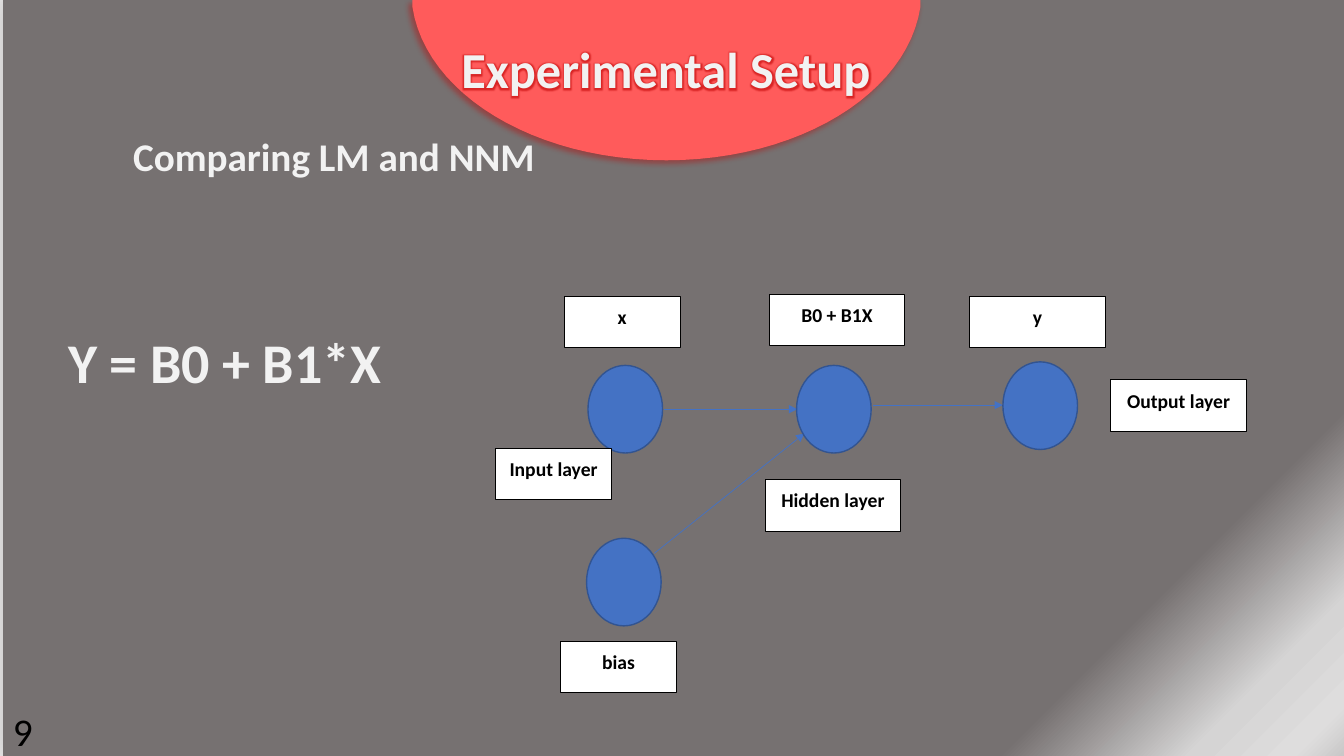
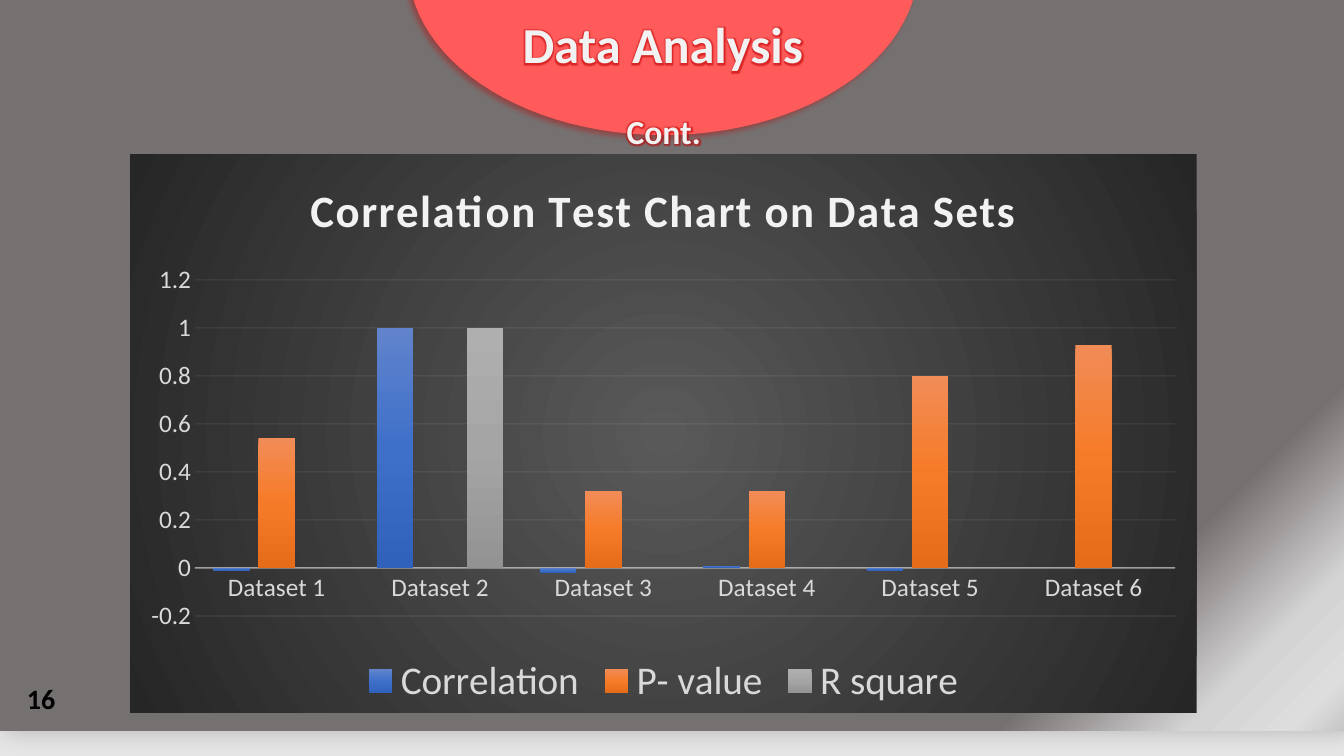
from lxml import etree
from pptx import Presentation
from pptx.chart.data import CategoryChartData
from pptx.dml.color import RGBColor
from pptx.enum.chart import XL_CHART_TYPE, XL_LEGEND_POSITION, XL_TICK_MARK
from pptx.enum.shapes import MSO_CONNECTOR, MSO_SHAPE
from pptx.enum.text import MSO_ANCHOR, PP_ALIGN
from pptx.oxml.ns import qn
from pptx.util import Pt

COLUMN_CLUSTERED = XL_CHART_TYPE.COLUMN_CLUSTERED
LEGEND_BOTTOM = XL_LEGEND_POSITION.BOTTOM
NO_TICK = XL_TICK_MARK.NONE
STRAIGHT = MSO_CONNECTOR.STRAIGHT
RECTANGLE, OVAL = MSO_SHAPE.RECTANGLE, MSO_SHAPE.OVAL
TOP, MIDDLE = MSO_ANCHOR.TOP, MSO_ANCHOR.MIDDLE
LEFT, CENTER = PP_ALIGN.LEFT, PP_ALIGN.CENTER

FONT = "Calibri"
BLACK, WHITE, OFF_WHITE, PALE = "000000", "FFFFFF", "F2F2F2", "D9D9D9"
BACKGROUND, CORAL, RED = "E7E6E6", "FF5B5B", "C00000"
BLUE, DARK_BLUE = "4472C4", "325491"
PANEL_STOPS = [(83, "767171"), (92, "D5D4D4"), (97, "DEDDDD"),
               (100, "C3C2C2"), (100, BACKGROUND)]
CHART_STOPS = [(0, "595959"), (100, "262626")]
CATEGORIES = [f"Dataset {number}" for number in range(1, 7)]
SERIES = [
    ("Correlation", (-0.01, 1, -0.02, 0.01, -0.01, 0),
     [(0, "6183CB"), (50, "3E70CA"), (100, "3062BB")]),
    ("P- value", (0.54, 0, 0.32, 0.32, 0.8, 0.93),
     [(0, "F18C57"), (50, "F67B28"), (100, "E56C19")]),
    ("R square", (0, 1, 0, 0, 0, 0),
     [(0, "AFAFAF"), (50, "A5A5A5"), (100, "939393")]),
]
NODE_SIZE = (53.3, 62.6)
NODES = [(66, 51), (215, 51), (362.4, 48.5), (65, 174.5)]
ARROWS = [(120.5, 82.3, 215.5, 82.3), (269.5, 79.4, 362.4, 79.4),
          (113.3, 185.3, 220.6, 99.6)]
NARROW, WIDE, LABEL_HEIGHT = 83, 97, 36.7
LABELS = [
    ("Hidden layer", 192.5, 132.7, WIDE), ("Output layer", 439.4, 61.4, WIDE),
    ("x", 49, 1.7, NARROW), ("B0 + B1X", 195.4, 0.2, WIDE),
    ("y", 338.6, 1.7, WIDE), ("bias", 46.3, 248, NARROW),
    ("Input layer", 0, 110.4, NARROW),
]


def rgb(value):
    """Turn a hex string into a colour."""
    return RGBColor.from_string(value)


def add_color(parent, color, opacity=100):
    """Append a colour element with its opacity in percent."""
    element = etree.SubElement(parent, qn("a:srgbClr"), val=color)
    if opacity < 100:
        etree.SubElement(element, qn("a:alpha"), val=str(opacity * 1000))


def add_gradient(properties, stops, angle=None):
    """Append a linear gradient, or a circular one when no angle is given."""
    gradient = etree.SubElement(properties, qn("a:gradFill"), rotWithShape="1")
    stop_list = etree.SubElement(gradient, qn("a:gsLst"))
    for position, color in stops:
        add_color(etree.SubElement(stop_list, qn("a:gs"), pos=str(position * 1000)), color)
    if angle is None:
        circle = etree.SubElement(gradient, qn("a:path"), {"path": "circle"})
        etree.SubElement(circle, qn("a:fillToRect"), dict.fromkeys("ltrb", "50000"))
    else:
        etree.SubElement(gradient, qn("a:lin"), ang=str(angle * 60000), scaled="0")


def add_shadow(shape, color, opacity, blur, distance, angle):
    """Give a shape a soft outer shadow."""
    shape.shadow.inherit = False
    effects = shape.element.spPr.find(qn("a:effectLst"))
    shadow = etree.SubElement(effects, qn("a:outerShdw"), blurRad=str(Pt(blur)),
                              dist=str(Pt(distance)), dir=str(angle * 60000),
                              algn="ctr", rotWithShape="0")
    add_color(shadow, color, opacity)


def add_glow(run):
    """Give a run a thin red outline and a red glow."""
    properties = run.font._element
    outline = etree.Element(qn("a:ln"), w=str(Pt(0.75)))
    add_color(etree.SubElement(outline, qn("a:solidFill")), RED)
    effects = etree.Element(qn("a:effectLst"))
    add_color(etree.SubElement(effects, qn("a:glow"), rad=str(Pt(5))), RED, 60)
    properties.find(qn("a:solidFill")).addnext(effects)
    properties.insert(0, outline)


def style_font(font, size, color, bold=False):
    """Set the shared typeface with size, colour and weight."""
    font.name, font.size, font.bold = FONT, Pt(size), bold
    font.color.rgb = rgb(color)


def write(shape, text, size, color, bold=True, align=CENTER, anchor=TOP):
    """Write one run into a shape and return its paragraph and run."""
    frame = shape.text_frame
    frame.word_wrap = True
    frame.vertical_anchor = anchor
    paragraph = frame.paragraphs[0]
    paragraph.alignment = align
    run = paragraph.add_run()
    run.text = text
    style_font(run.font, size, color, bold)
    return paragraph, run


def add_text(slide, box, *content, glow=False, **style):
    """Add a text box, with a glow if asked."""
    shape = slide.shapes.add_textbox(*map(Pt, box))
    _, run = write(shape, *content, **style)
    if glow:
        add_glow(run)


def add_box(slide, kind, box, fill, line, width):
    """Add a filled and outlined preset shape."""
    shape = slide.shapes.add_shape(kind, *map(Pt, box))
    shape.shadow.inherit = False
    shape.fill.solid()
    shape.fill.fore_color.rgb = rgb(fill)
    shape.line.color.rgb = rgb(line)
    shape.line.width = Pt(width)
    return shape


def add_panel(slide, left, top):
    """Add the gradient panel that carries the slide."""
    panel = slide.shapes.add_shape(RECTANGLE, Pt(left), Pt(top), Pt(967), Pt(540))
    add_gradient(panel.element.spPr, PANEL_STOPS, 45)
    panel.line.fill.background()
    add_shadow(panel, "595959", 35, 17, 3, 0)


def add_dome(slide, left, top):
    """Add the coral dome that hangs from the top of the panel."""
    half, steps = 181.4, 24
    controls = [(half, 5), (172, 67), (94.3, 114.5), (0, 114.5)]
    curve = []
    for step in range(steps + 1):
        t = step / steps
        weights = ((1 - t) ** 3, 3 * t * (1 - t) ** 2, 3 * t * t * (1 - t), t ** 3)
        curve.append(tuple(sum(weight * point[axis] for weight, point in zip(weights, controls))
                           for axis in (0, 1)))
    outline = [(-half, 0), (half, 0)] + curve + [(-x, y) for x, y in reversed(curve[:-1])]
    points = [(Pt(left + half + x), Pt(top + y)) for x, y in outline]
    builder = slide.shapes.build_freeform(*points[0])
    builder.add_line_segments(points[1:], close=True)
    dome = builder.convert_to_shape()
    dome.fill.solid()
    dome.fill.fore_color.rgb = rgb(CORAL)
    dome.line.fill.background()
    add_shadow(dome, RED, 40, 4, 3, 135)


def add_base(presentation, left, top, title):
    """Add a slide with background, panel, dome and title."""
    slide = presentation.slides.add_slide(presentation.slide_layouts[6])
    slide.background.fill.solid()
    slide.background.fill.fore_color.rgb = rgb(BACKGROUND)
    add_panel(slide, left, top)
    add_dome(slide, left + 292.4, top)
    add_text(slide, (left + 317.5, top + 23.8, 312, 51), title, 36, OFF_WHITE, glow=True)
    return slide


def add_number(slide, left, top, number, size, bold):
    """Add the slide number."""
    add_text(slide, (left, top, 216, 28.8), number, size, BLACK,
             bold=bold, align=LEFT, anchor=MIDDLE)


def add_arrow(slide, ends):
    """Add a thin arrow between two points."""
    arrow = slide.shapes.add_connector(STRAIGHT, *map(Pt, ends))
    arrow.line.color.rgb = rgb(BLUE)
    arrow.line.width = Pt(0.5)
    properties = arrow._element.spPr
    etree.SubElement(properties.find(qn("a:ln")), qn("a:tailEnd"), type="triangle")
    etree.SubElement(properties, qn("a:effectLst"))


def add_network(slide, left, top):
    """Draw the neural network with its arrows, nodes and labels."""
    for x1, y1, x2, y2 in ARROWS:
        add_arrow(slide, (left + x1, top + y1, left + x2, top + y2))
    for x, y in NODES:
        add_box(slide, OVAL, (left + x, top + y, *NODE_SIZE), BLUE, DARK_BLUE, 1)
    for text, x, y, width in LABELS:
        label = add_box(slide, RECTANGLE, (left + x, top + y, width, LABEL_HEIGHT),
                        WHITE, BLACK, 0.75)
        paragraph, _ = write(label, text, 14, BLACK)
        paragraph.line_spacing = 1.15
        paragraph.space_after = Pt(10)


def style_line(owner, element, width, opacity):
    """Draw a chart line in translucent off-white."""
    owner.format.line.color.rgb = rgb(OFF_WHITE)
    owner.format.line.width = Pt(width)
    color = next(element.find(qn("c:spPr")).iter(qn("a:srgbClr")))
    etree.SubElement(color, qn("a:alpha"), val=str(opacity * 1000))


def style_axes(chart):
    """Style both axes and the gridlines."""
    category_axis, value_axis = chart.category_axis, chart.value_axis
    for axis in (category_axis, value_axis):
        axis.major_tick_mark = axis.minor_tick_mark = NO_TICK
        style_font(axis.tick_labels.font, 18, PALE)
    style_line(category_axis, category_axis._element, 1, 54)
    value_axis.format.line.fill.background()
    value_axis.minimum_scale, value_axis.maximum_scale = -0.2, 1.2
    value_axis.major_unit = 0.2
    value_axis.has_major_gridlines = True
    style_line(value_axis.major_gridlines,
               value_axis._element.find(qn("c:majorGridlines")), 0.75, 10)


def add_correlation_chart(slide, box):
    """Add the clustered column chart on its dark ground."""
    data = CategoryChartData()
    data.categories = CATEGORIES
    for name, values, _ in SERIES:
        data.add_series(name, values)
    chart = slide.shapes.add_chart(COLUMN_CLUSTERED, *map(Pt, box), data).chart
    style_font(chart.font, 10, BLACK)
    ground = etree.Element(qn("c:spPr"))
    add_gradient(ground, CHART_STOPS)
    etree.SubElement(etree.SubElement(ground, qn("a:ln")), qn("a:noFill"))
    chart._chartSpace.find(qn("c:txPr")).addprevious(ground)
    chart.has_title = True
    run = chart.chart_title.text_frame.paragraphs[0].add_run()
    run.text = "Correlation Test Chart on Data Sets"
    style_font(run.font, 32, OFF_WHITE, True)
    run.font._element.set("spc", "100")
    chart.chart_title.include_in_layout = False
    chart.has_legend = True
    chart.legend.position = LEGEND_BOTTOM
    chart.legend.include_in_layout = False
    style_font(chart.legend.font, 28, PALE)
    plot = chart.plots[0]
    plot.gap_width, plot.overlap, plot.vary_by_categories = 100, -24, False
    for series, (_, _, stops) in zip(plot.series, SERIES):
        series.invert_if_negative = False
        add_gradient(series._element.get_or_add_spPr(), stops, 90)
    style_axes(chart)


def build_setup_slide(presentation):
    """Build the slide comparing the linear model with the network."""
    slide = add_base(presentation, 2.2, 0, "Experimental Setup")
    add_text(slide, (28.8, 230.4, 263.5, 55.4), "Y = B0 + B1*X", 40, OFF_WHITE)
    add_text(slide, (9.4, 90.7, 458, 41), "Comparing LM and NNM", 28, OFF_WHITE)
    add_network(slide, 354, 210)
    add_number(slide, 2.2, 507.6, "9", 28, False)


def build_analysis_slide(presentation):
    """Build the slide with the correlation chart."""
    slide = add_base(presentation, 0, -18, "Data Analysis")
    add_correlation_chart(slide, (92.9, 110.2, 761.8, 398.9))
    add_text(slide, (410.4, 75.6, 127.4, 36), "Cont.", 24, OFF_WHITE, glow=True)
    add_number(slide, 12.2, 484.6, "16", 20, True)


def main():
    """Build and save the presentation."""
    presentation = Presentation()
    presentation.slide_width, presentation.slide_height = Pt(960), Pt(540)
    build_setup_slide(presentation)
    build_analysis_slide(presentation)
    presentation.save("out.pptx")


if __name__ == "__main__":
    main()
